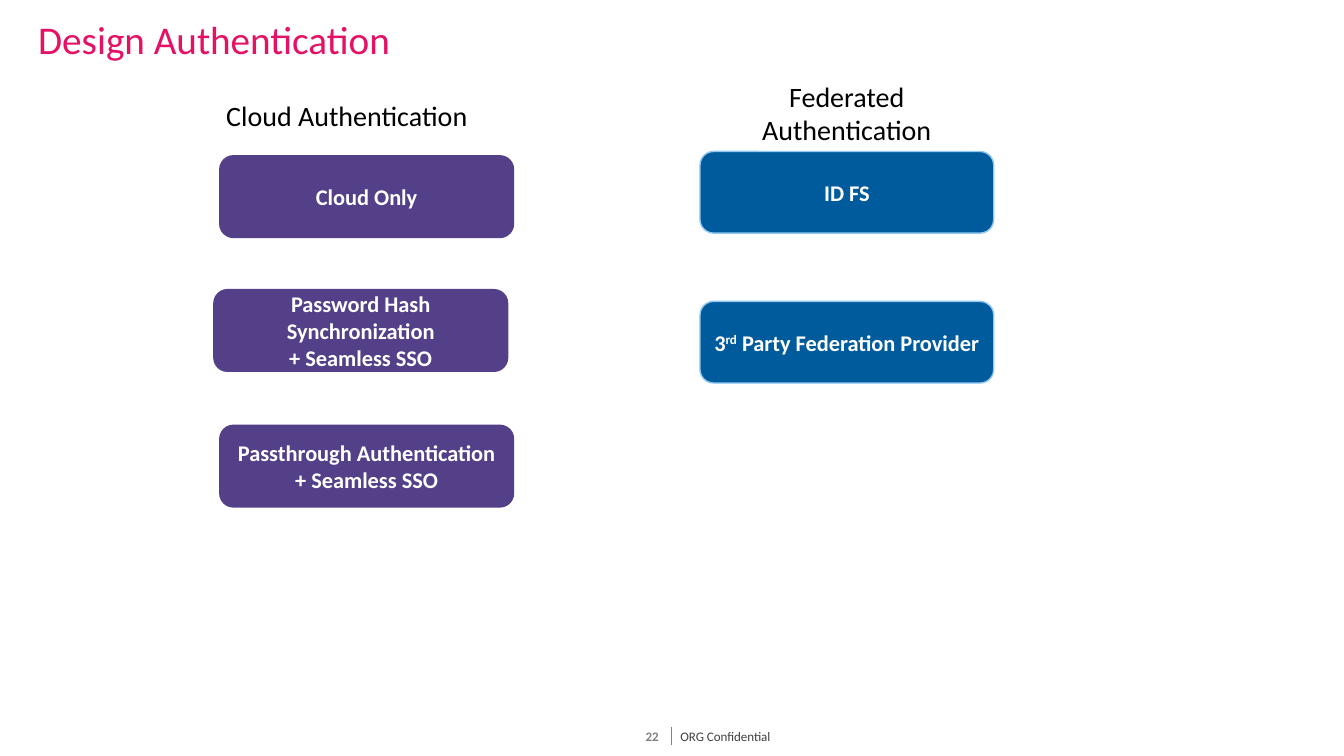
from pptx import Presentation
from pptx.dml.color import RGBColor
from pptx.enum.shapes import MSO_CONNECTOR, MSO_SHAPE
from pptx.enum.text import MSO_ANCHOR, PP_ALIGN
from pptx.oxml.ns import qn
from pptx.util import Pt
from lxml import etree

LEFT, CENTER = PP_ALIGN.LEFT, PP_ALIGN.CENTER
TOP, MIDDLE = MSO_ANCHOR.TOP, MSO_ANCHOR.MIDDLE
ROUNDED = MSO_SHAPE.ROUNDED_RECTANGLE
STRAIGHT = MSO_CONNECTOR.STRAIGHT

PINK = RGBColor(0xE4, 0x11, 0x65)
PURPLE = RGBColor(0x53, 0x40, 0x88)
BLUE = RGBColor(0x00, 0x5B, 0x9C)
LIGHT_BLUE = RGBColor(0x91, 0xC8, 0xF3)
BLACK = RGBColor(0x00, 0x00, 0x00)
WHITE = RGBColor(0xFF, 0xFF, 0xFF)
DARK_GRAY = RGBColor(0x40, 0x40, 0x40)
GRAY = RGBColor(0x80, 0x80, 0x80)
RULE_GRAY = RGBColor(0x80, 0x82, 0x85)

prs = Presentation()
prs.slide_width, prs.slide_height = Pt(960), Pt(540)
s = prs.slides.add_slide(prs.slide_layouts[6])


def write(sp, text, size=16, color=WHITE, bold=False, align=CENTER,
          anchor=MIDDLE, insets=(7.2, 3.6, 7.2, 3.6), spacing=None):
    """Fill a shape with text: newlines part paragraphs, ^ marks wrap superscripts."""
    tf = sp.text_frame
    tf.word_wrap = True
    tf.vertical_anchor = anchor
    tf.margin_left, tf.margin_top, tf.margin_right, tf.margin_bottom = map(Pt, insets)
    for i, line in enumerate(text.split("\n")):
        p = tf.paragraphs[0] if i == 0 else tf.add_paragraph()
        p.alignment = align
        p.line_spacing = spacing
        for j, part in enumerate(line.split("^")):
            r = p.add_run()
            r.text = part
            r.font.name, r.font.size, r.font.bold = "Calibri", Pt(size), bold
            r.font.color.rgb = color
            if j % 2:
                r._r.get_or_add_rPr().set("baseline", "30000")


# Title, column headings and footer texts
NONE = (0, 0, 0, 0)
texts = [
    ("Design Authentication", (20.2, 11.5, 828, 58.3),
     dict(size=28, color=PINK, align=LEFT, anchor=TOP, spacing=0.9)),
    ("Cloud Authentication", (151.2, 56.2, 193, 51.8),
     dict(size=20, color=BLACK, insets=NONE)),
    ("Federated\nAuthentication", (508.3, 54.7, 193, 51.8),
     dict(size=20, color=BLACK, insets=NONE)),
    ("22", (450, 519.1, 31.7, 13.7),
     dict(size=9.3, color=GRAY, bold=True, insets=NONE)),
    ("ORG Confidential", (481, 519.1, 197.3, 13.7),
     dict(size=9.3, color=DARK_GRAY, align=LEFT, insets=(5, 3.6, 7.2, 3.6))),
]
for text, box, style in texts:
    write(s.shapes.add_textbox(*map(Pt, box)), text, **style)

# Authentication options, one column per heading
options = [
    ("Cloud Only", 157, 111.3, PURPLE, PURPLE),
    ("Password Hash Synchronization\n+ Seamless SSO", 152.8, 206.9, PURPLE, PURPLE),
    ("Passthrough Authentication\n+ Seamless SSO", 157, 303.8, PURPLE, PURPLE),
    ("ID FS", 500, 108.2, BLUE, LIGHT_BLUE),
    ("3^rd^ Party Federation Provider", 500, 215.3, BLUE, LIGHT_BLUE),
]
for text, x, y, fill, line in options:
    sp = s.shapes.add_shape(ROUNDED, Pt(x), Pt(y), Pt(209.8), Pt(58.3))
    sp.shadow.inherit = False
    sp.fill.solid()
    sp.fill.fore_color.rgb = fill
    sp.line.color.rgb = line
    sp.line.width = Pt(1)
    write(sp, text, bold=True)

# Footer divider
divider = s.shapes.add_connector(STRAIGHT, Pt(479.5), Pt(519.1), Pt(479.5), Pt(532.1))
divider.line.color.rgb = RULE_GRAY
divider.line.width = Pt(0.5)
etree.SubElement(divider._element.spPr, qn("a:effectLst"))

prs.save("out.pptx")
